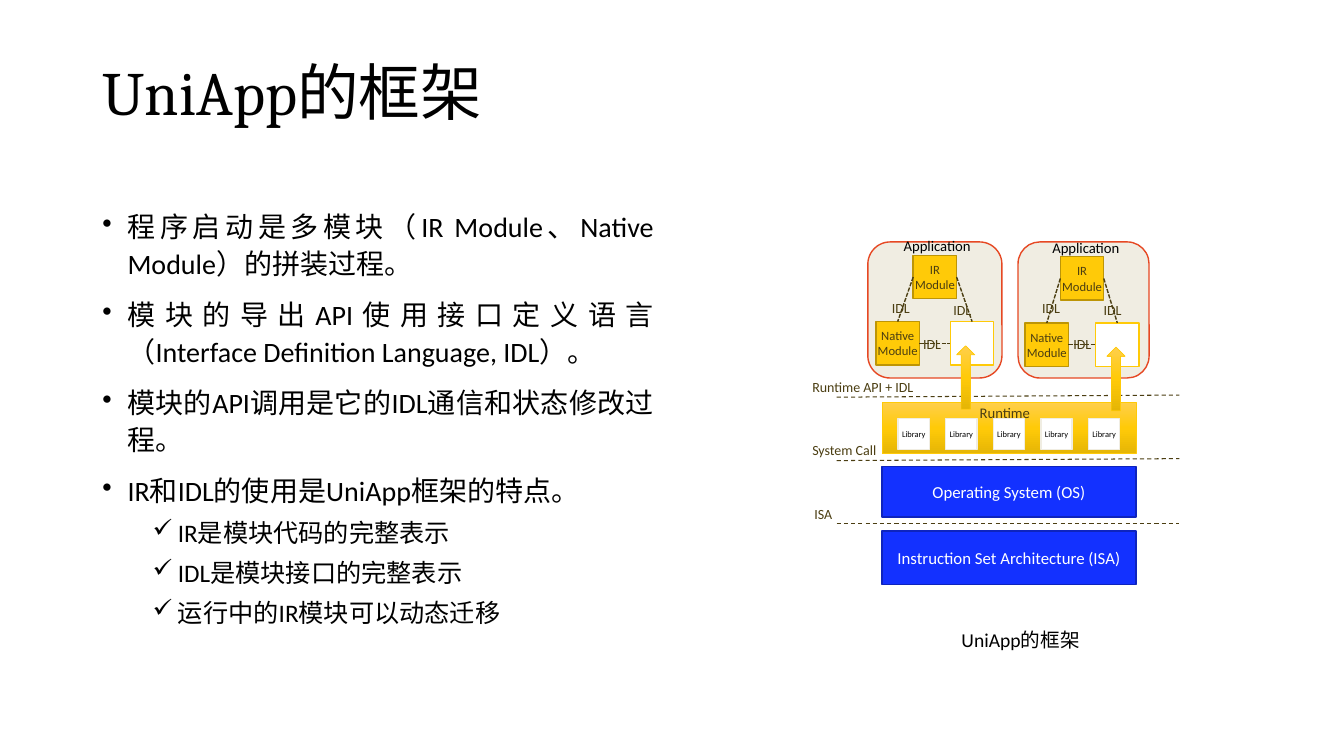
import pptx
import pptx.dml.color
import pptx.enum.dml
import pptx.enum.shapes
import pptx.enum.text
import pptx.oxml.ns
import pptx.util
from lxml import etree

Pt = pptx.util.Pt
qn = pptx.oxml.ns.qn
ALIGN = pptx.enum.text.PP_ALIGN
ANCHOR = pptx.enum.text.MSO_ANCHOR
FIT = pptx.enum.text.MSO_AUTO_SIZE
SHAPE = pptx.enum.shapes.MSO_SHAPE
DASH = pptx.enum.dml.MSO_LINE

BLACK, WHITE, BROWN = "000000", "FFFFFF", "4B3E12"
GOLD, DARK_GOLD, CREAM = "FFCA08", "BD9506", "F0EDE2"
BLUE, DARK_BLUE, RED = "1331FF", "0E24BD", "E64823"
GOLD_STOPS = [(0, "FFCF4C"), (50, GOLD), (100, "E5B505")]
TOP, LEFT, RIGHT = 0, 1, 3


def rgb(color):
    return pptx.dml.color.RGBColor.from_string(color)


class Drawing:
    """Holds the text style and the slide being drawn."""

    def __init__(self, slide, font="Calibri"):
        self.slide = slide
        self.font = font

    def run(self, paragraph, text, size, color, font=None):
        run = paragraph.add_run()
        run.text = text
        run.font.name = font or self.font
        run.font.size = Pt(size)
        run.font.color.rgb = rgb(color)

    def title(self, text, left, top, width, height):
        shape = self.slide.shapes.title
        shape.left, shape.top = Pt(left), Pt(top)
        shape.width, shape.height = Pt(width), Pt(height)
        frame = shape.text_frame
        frame.auto_size = FIT.NONE
        frame.vertical_anchor = ANCHOR.MIDDLE
        paragraph = frame.paragraphs[0]
        paragraph.alignment = ALIGN.LEFT
        paragraph.line_spacing = 0.9
        self.run(paragraph, text, 44, BLACK, "Cambria")

    def bullets(self, items, left, top, width, height):
        frame = self.slide.shapes.add_textbox(
            Pt(left), Pt(top), Pt(width), Pt(height)).text_frame
        frame.word_wrap = True
        for index, (level, text) in enumerate(items):
            paragraph = frame.paragraphs[0] if index == 0 else frame.add_paragraph()
            properties = paragraph._p.get_or_add_pPr()
            properties.set("marL", str(Pt(18 + 36 * level)))
            properties.set("indent", str(Pt(-18)))
            etree.SubElement(properties, qn("a:buChar"), char="•✓"[level])
            paragraph.level = level
            paragraph.alignment = ALIGN.JUSTIFY
            paragraph.line_spacing = 1.1
            if index:
                paragraph.space_before = Pt(5 if level else 10)
            self.run(paragraph, text, 18 if level else 20, BLACK)

    def label(self, text, left, top, width, height=19.4, size=10,
              color=BROWN, wrap=False):
        frame = self.slide.shapes.add_textbox(
            Pt(left), Pt(top), Pt(width), Pt(height)).text_frame
        frame.word_wrap = wrap
        frame.auto_size = FIT.SHAPE_TO_FIT_TEXT
        self.run(frame.paragraphs[0], text, size, color)

    def shape(self, kind, left, top, width, height, fill, line, line_width=1):
        shape = self.slide.shapes.add_shape(
            kind, Pt(left), Pt(top), Pt(width), Pt(height))
        shape.shadow.inherit = False
        if isinstance(fill, str):
            shape.fill.solid()
            shape.fill.fore_color.rgb = rgb(fill)
        else:
            self.gradient(shape, fill)
        shape.line.color.rgb = rgb(line)
        shape.line.width = Pt(line_width)
        return shape

    def gradient(self, shape, stops):
        shape.fill.gradient()
        shape.fill.gradient_angle = 270
        stop_list = next(shape._element.iter(qn("a:gsLst")))
        for old_stop in list(stop_list):
            stop_list.remove(old_stop)
        for position, color in stops:
            stop = etree.SubElement(stop_list, qn("a:gs"), pos=str(position * 1000))
            etree.SubElement(stop, qn("a:srgbClr"), val=color)

    def caption(self, shape, text, size, color, margins=(0, 3.6, 0, 3.6),
                anchor=ANCHOR.MIDDLE):
        frame = shape.text_frame
        frame.word_wrap = True
        frame.vertical_anchor = anchor
        (frame.margin_left, frame.margin_top,
         frame.margin_right, frame.margin_bottom) = map(Pt, margins)
        frame.paragraphs[0].alignment = ALIGN.CENTER
        self.run(frame.paragraphs[0], text, size, color)

    def line(self, start=(0, 0), end=(0, 0), width=0.75, dash=DASH.DASH):
        connector = self.slide.shapes.add_connector(
            pptx.enum.shapes.MSO_CONNECTOR.STRAIGHT, *map(Pt, start + end))
        connector.line.color.rgb = rgb(BROWN)
        connector.line.width = Pt(width)
        connector.line.dash_style = dash
        etree.SubElement(connector._element.spPr, qn("a:effectLst"))
        return connector

    def link(self, first, first_side, second, second_side):
        connector = self.line(width=1, dash=DASH.SQUARE_DOT)
        # sysDash is the short dash used between modules
        next(connector._element.iter(qn("a:prstDash"))).set("val", "sysDash")
        connector.begin_connect(first, first_side)
        connector.end_connect(second, second_side)

    def application(self, left, width, module_left, pitch, drop, shift):
        self.shape(SHAPE.ROUNDED_RECTANGLE, left, 172.8, width, 97.2, CREAM, RED)
        modules = []
        for column, top, text in ((0, 229.7, "Native Module"),
                                  (1, 182.4, "IR Module"), (2, 229.7, "")):
            module = self.shape(
                SHAPE.RECTANGLE, module_left + column * pitch, top + drop, 31, 31,
                GOLD if text else WHITE, DARK_GOLD if text else GOLD)
            if text:
                self.caption(module, text, 9, BROWN)
            modules.append(module)
        native, ir, loaded = modules
        self.link(ir, LEFT, native, TOP)
        self.link(native, RIGHT, loaded, LEFT)
        self.link(ir, RIGHT, loaded, TOP)
        for label_left, label_top in ((652.3, 236.2), (673.9, 211.7), (630, 210.2)):
            self.label("IDL", label_left + shift, label_top, 27.4)
        self.label("Application", left + width / 2 - 29.4, 165.6 + 1.5 * drop,
                   65.5, 20.9, 10.5, BLACK)


def main():
    presentation = pptx.Presentation()
    presentation.slide_width, presentation.slide_height = Pt(960), Pt(540)
    slide = presentation.slides.add_slide(presentation.slide_layouts[5])
    drawing = Drawing(slide)

    # Title and bullet list
    drawing.title("UniApp的框架", 66, 28.8, 828, 79.5)
    drawing.bullets([
        (0, "程序启动是多模块（IR Module、Native Module）的拼装过程。"),
        (0, "模块的导出API使用接口定义语言（Interface Definition Language, IDL）。"),
        (0, "模块的API调用是它的IDL通信和状态修改过程。"),
        (0, "IR和IDL的使用是UniApp框架的特点。"),
        (1, "IR是模块代码的完整表示"),
        (1, "IDL是模块接口的完整表示"),
        (1, "运行中的IR模块可以动态迁移"),
    ], 66, 144, 408, 343)
    drawing.label("UniApp的框架", 679.7, 445, 100, 24.5, 14, BLACK, wrap=True)

    # System layers
    for text, top, height in (("Instruction Set Architecture (ISA)", 379.4, 38.2),
                              ("Operating System (OS)", 333.4, 36)):
        layer = drawing.shape(SHAPE.RECTANGLE, 630, top, 181.4, height,
                              BLUE, DARK_BLUE)
        drawing.caption(layer, text, 12, WHITE, (7.2, 3.6, 7.2, 3.6))
    runtime = drawing.shape(SHAPE.RECTANGLE, 630, 287.3, 181.4, 36.7,
                            GOLD_STOPS, GOLD, 0.5)
    drawing.caption(runtime, "Runtime", 10.5, BROWN, (7.2, 1, 13, 3.6), ANCHOR.TOP)
    for column in range(5):
        library = drawing.shape(SHAPE.RECTANGLE, 641.5 + 34 * column, 298.8,
                                22.3, 22.3, WHITE, CREAM)
        drawing.caption(library, "Library", 6, BLACK)

    # Interfaces between layers
    for text, left, top, width, start, end in (
            ("ISA", 574.6, 357.8, 27.4, 373.7, 373.7),
            ("System Call", 573.1, 311.8, 61.2, 329, 327.6),
            ("Runtime API + IDL", 573.1, 267.1, 87.8, 283.7, 282.2)):
        drawing.line((597.6, start), (842.4, end))
        drawing.label(text, left, top, width)

    # Applications, then the arrows up from the runtime
    shift = 107.3
    drawing.application(619.9, 95.8, 625.7, 26.6, 0, 0)
    drawing.application(727.2, 93.6, 732.2, 25.2, 1, shift)
    for index in range(2):
        drawing.shape(SHAPE.UP_ARROW, 683.3 + shift * index, 247 + index, 13, 45.4,
                      GOLD_STOPS, GOLD, 0.5)

    presentation.save("out.pptx")


if __name__ == "__main__":
    main()
